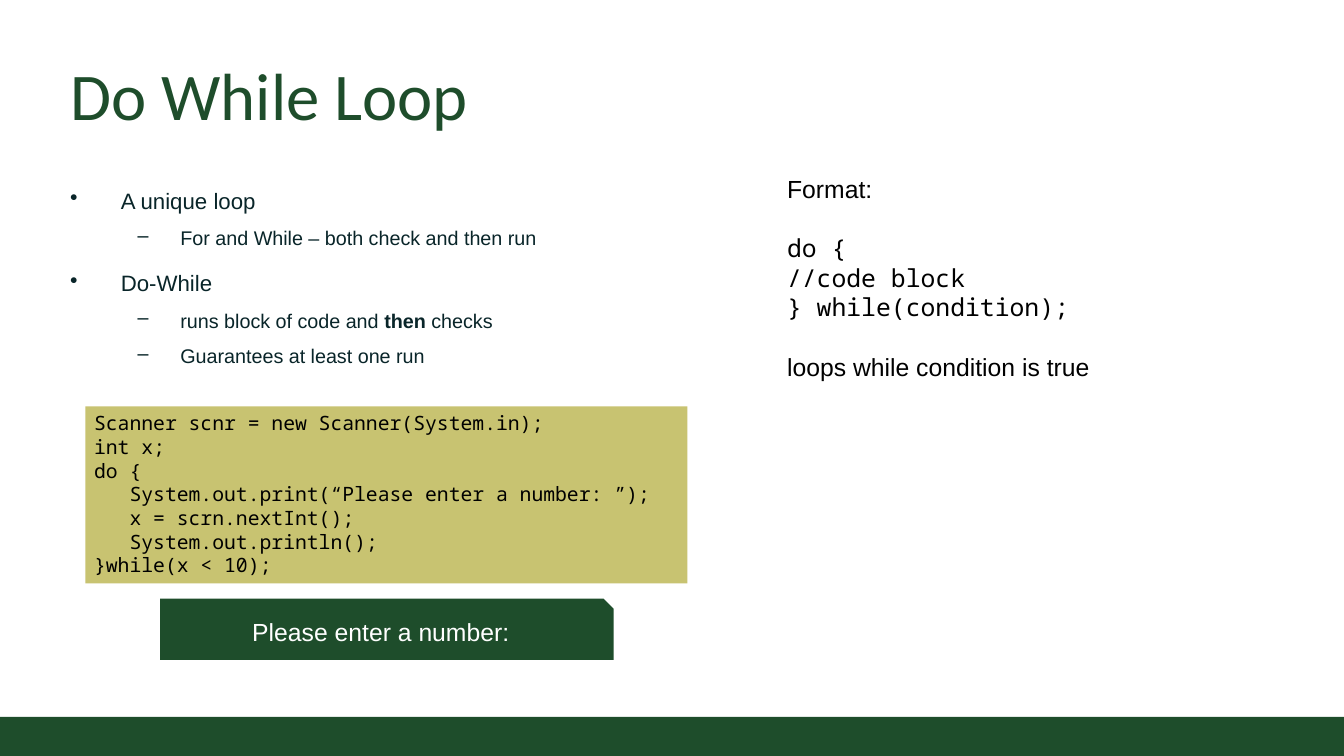
from dataclasses import dataclass

from lxml import etree
from pptx import Presentation
from pptx.dml.color import RGBColor
from pptx.enum.shapes import MSO_SHAPE
from pptx.enum.text import MSO_ANCHOR, PP_ALIGN
from pptx.oxml.ns import qn
from pptx.util import Inches, Pt

RECT, SNIP = MSO_SHAPE.RECTANGLE, MSO_SHAPE.SNIP_1_RECTANGLE
TOP, MIDDLE, BOTTOM = MSO_ANCHOR.TOP, MSO_ANCHOR.MIDDLE, MSO_ANCHOR.BOTTOM
LEFT, CENTER = PP_ALIGN.LEFT, PP_ALIGN.CENTER
GREEN, KHAKI, INK, BLACK, WHITE = "1E4D2B", "C8C371", "092529", "000000", "FFFFFF"
SANS, MONO, HEADING = "Arial", "Noto Sans Mono", "Calibri"


@dataclass
class BulletStyle:
    char: str
    margin: float
    indent: float
    size: float
    before: float


@dataclass
class Bullet:
    level: int
    text: str
    bold: str = ""
    rest: str = ""


@dataclass
class Line:
    text: str
    font: str
    before: float = 0


STYLES = [
    BulletStyle("•", 0.57, -0.57, 18, 6),
    BulletStyle("–", 1.24, -0.48, 16, 0),
]
BULLETS = [
    Bullet(0, "A unique loop"),
    Bullet(1, "For and While – both check and then run"),
    Bullet(0, "Do-While"),
    Bullet(1, "runs block of code and ", "then", " checks"),
    Bullet(1, "Guarantees at least one run"),
]
FORMAT = [
    Line("Format:", SANS),
    Line("do {", MONO, 24),
    Line("//code block", MONO),
    Line("} while(condition);", MONO),
    Line("loops while condition is true", SANS, 24),
]
CODE = """Scanner scnr = new Scanner(System.in);
int x;
do {
   System.out.print(“Please enter a number: ”);
   x = scrn.nextInt();
   System.out.println();
}while(x < 10);"""


def rgb(color: str) -> RGBColor:
    return RGBColor.from_string(color)


def add_text(p, text: str, *, size: float, font: str = SANS,
             color: str = BLACK, bold: bool = False) -> None:
    r = p.add_run()
    r.text = text
    r.font.size, r.font.name, r.font.bold = Pt(size), font, bold
    r.font.color.rgb = rgb(color)


def set_frame(sp, anchor=TOP, dx: float = 0.1, dy: float = 0.05):
    tf = sp.text_frame
    tf.word_wrap = True
    tf.vertical_anchor = anchor
    tf.margin_left = tf.margin_right = Inches(dx)
    tf.margin_top = tf.margin_bottom = Inches(dy)
    return tf


def next_paragraph(tf, index: int, before: float = 0):
    p = tf.add_paragraph() if index else tf.paragraphs[0]
    p.alignment = LEFT
    p.space_before = Pt(before if index else 0)
    return p


def add_box(s, kind, x: float, y: float, w: float, h: float, fill: str):
    sp = s.shapes.add_shape(kind, Inches(x), Inches(y), Inches(w), Inches(h))
    sp.shadow.inherit = False
    sp.fill.solid()
    sp.fill.fore_color.rgb = rgb(fill)
    sp.line.fill.background()
    return sp


def add_textbox(s, x: float, y: float, w: float, h: float):
    return s.shapes.add_textbox(Inches(x), Inches(y), Inches(w), Inches(h))


def add_lines(tf, lines: list[Line], size: float) -> None:
    for i, line in enumerate(lines):
        p = next_paragraph(tf, i, line.before)
        add_text(p, line.text, size=size, font=line.font)


def add_bullets(tf, bullets: list[Bullet]) -> None:
    for i, bullet in enumerate(bullets):
        style = STYLES[bullet.level]
        p = next_paragraph(tf, i, style.before)
        p.level = bullet.level
        p.line_spacing = 1.2
        p.space_after = Pt(6)
        pPr = p._p.get_or_add_pPr()
        pPr.set("marL", str(Inches(style.margin)))
        pPr.set("indent", str(Inches(style.indent)))
        etree.SubElement(pPr, qn("a:buChar")).set("char", style.char)
        for text in filter(None, (bullet.text, bullet.bold, bullet.rest)):
            add_text(p, text, size=style.size, color=INK, bold=text == bullet.bold)


def main() -> None:
    prs = Presentation()
    prs.slide_width, prs.slide_height = Inches(15.11), Inches(8.5)
    s = prs.slides.add_slide(prs.slide_layouts[5])

    add_box(s, RECT, 0, 8.06, 15.11, 0.44, GREEN)

    title = s.shapes.title
    title.left, title.top = Inches(0.69), Inches(0.49)
    title.width, title.height = Inches(13.74), Inches(1.11)
    p = next_paragraph(set_frame(title, BOTTOM, dy=0.1), 0)
    add_text(p, "Do While Loop", size=54, font=HEADING, color=GREEN)

    body = add_textbox(s, 0.69, 1.94, 5.67, 2.42)
    add_bullets(set_frame(body, dy=0.1), BULLETS)

    syntax = add_textbox(s, 8.75, 1.9, 4.05, 2.46)
    add_lines(set_frame(syntax), FORMAT, 20)

    code = add_box(s, RECT, 0.96, 4.57, 6.77, 1.99, KHAKI)
    add_lines(set_frame(code), [Line(text, MONO) for text in CODE.splitlines()], 16)

    prompt = add_box(s, SNIP, 1.8, 6.73, 5.1, 0.69, GREEN)
    p = next_paragraph(set_frame(prompt, MIDDLE, 0.3, 0.2), 0)
    p.alignment = CENTER
    add_text(p, "Please enter a number: ", size=20, color=WHITE)

    prs.save("out.pptx")


if __name__ == "__main__":
    main()
